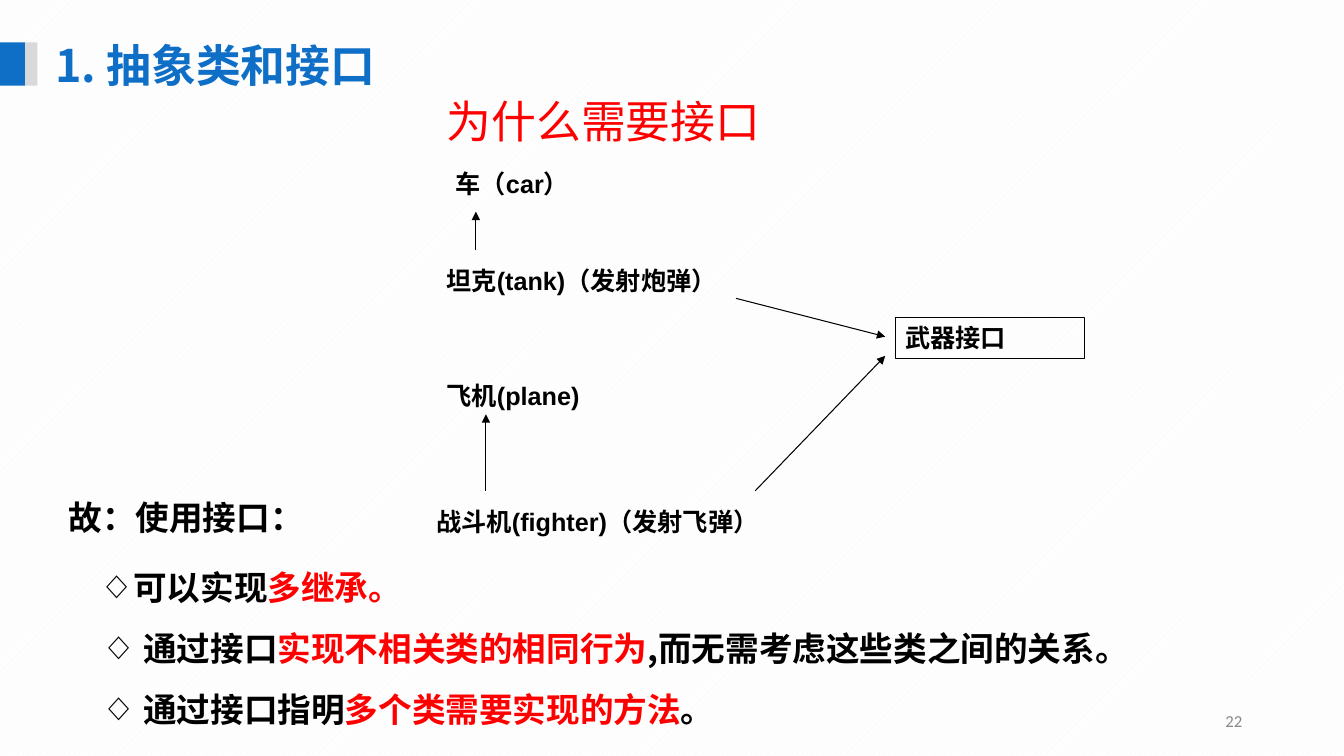
"""Build the slide on why interfaces are needed."""
import pptx
import pptx.dml.color
import pptx.enum.dml
import pptx.enum.shapes
import pptx.enum.text
import pptx.oxml
import pptx.oxml.ns
import pptx.util
from pptx.util import Inches

COLORS = {
    "blue": "0F6FC6", "grey": "D9D9D9", "number": "898989", "red": "FF0000",
    "black": "000000", "paper": "FEFEFE", "stripe": "F8F9FA",
}
CJK = "Noto Sans CJK SC"


def rgb(color):
    return pptx.dml.color.RGBColor.from_string(COLORS[color])


def write(paragraph, text, size=18, font="Arial", color="black", bold=True):
    run = paragraph.add_run()
    run.text = text
    run.font.size = pptx.util.Pt(size)
    run.font.name = font
    run.font.bold = bold
    run.font.color.rgb = rgb(color)
    east_asian = pptx.oxml.parse_xml(f'<a:ea {pptx.oxml.ns.nsdecls("a")} typeface="{CJK}"/>')
    run.font._element.find(pptx.oxml.ns.qn("a:latin")).addnext(east_asian)


deck = pptx.Presentation()
deck.slide_width, deck.slide_height = Inches(13.33), Inches(7.5)
slide = deck.slides.add_slide(deck.slide_layouts[1])
shapes = slide.shapes

backdrop = slide.background.fill
backdrop.patterned()
backdrop.pattern = pptx.enum.dml.MSO_PATTERN.WIDE_UPWARD_DIAGONAL
backdrop.fore_color.rgb = rgb("stripe")
backdrop.back_color.rgb = rgb("paper")

for left, width, color in [(0, 0.25, "blue"), (0.25, 0.12, "grey")]:
    marker = shapes.add_shape(pptx.enum.shapes.MSO_SHAPE.RECTANGLE,
                              Inches(left), Inches(0.42), Inches(width), Inches(0.43))
    marker.shadow.inherit = False
    marker.fill.solid()
    marker.fill.fore_color.rgb = rgb(color)
    marker.line.fill.background()

question = shapes.title
question.left, question.top = Inches(4.33), Inches(0.51)
question.width, question.height = Inches(9), Inches(1.45)
question.text_frame.auto_size = pptx.enum.text.MSO_AUTO_SIZE.NONE
question.text_frame.vertical_anchor = pptx.enum.text.MSO_ANCHOR.MIDDLE
question_line = question.text_frame.paragraphs[0]
question_line.alignment = pptx.enum.text.PP_ALIGN.LEFT
question_line.line_spacing = 0.9
write(question_line, "为什么需要接口", size=32, font="Calibri", color="red", bold=False)

labels = [
    ("1. 抽象类和接口", 0.45, 0.33, 7.82, 0.64, {"size": 32, "font": CJK, "color": "blue"}),
    ("车（car）", 4.42, 1.62, 1.68, 0.4, {}),
    ("坦克(tank)（发射炮弹）", 4.33, 2.58, 3.76, 0.4, {}),
    ("飞机(plane)", 4.33, 3.72, 2.28, 0.4, {}),
    ("战斗机(fighter)（发射飞弹）", 4.23, 4.97, 4.56, 0.4, {}),
    ("武器接口", 8.88, 3.15, 1.88, 0.41, {}),
    ("22", 9.42, 6.95, 3, 0.4,
     {"size": 12, "font": "Calibri", "color": "number", "bold": False}),
]
for text, left, top, width, height, style in labels:
    label = shapes.add_textbox(Inches(left), Inches(top), Inches(width), Inches(height))
    label.text_frame.word_wrap = True
    write(label.text_frame.paragraphs[0], text, **style)
    if text == "武器接口":
        label.line.color.rgb = rgb("black")
        label.line.width = pptx.util.Pt(0.75)
    if text == "22":
        label.text_frame.vertical_anchor = pptx.enum.text.MSO_ANCHOR.MIDDLE
        label.text_frame.paragraphs[0].alignment = pptx.enum.text.PP_ALIGN.RIGHT

arrows = [
    (4.72, 2.48, 4.72, 2.1),
    (4.82, 4.87, 4.82, 4.11),
    (7.3, 2.96, 8.78, 3.34),
    (7.49, 4.87, 8.78, 3.53),
]
for ends in arrows:
    arrow = shapes.add_connector(pptx.enum.shapes.MSO_CONNECTOR.STRAIGHT,
                                 *[Inches(end) for end in ends])
    arrow.line.color.rgb = rgb("black")
    arrow.line.width = pptx.util.Pt(0.75)
    namespace = pptx.oxml.ns.nsdecls("a")
    arrow.line._get_or_add_ln().append(
        pptx.oxml.parse_xml(f'<a:tailEnd {namespace} type="triangle"/>'))
    arrow._element.spPr.append(pptx.oxml.parse_xml(f"<a:effectLst {namespace}/>"))

reasons = shapes.placeholders[1]
reasons.left, reasons.top = Inches(0.58), Inches(4.68)
reasons.width, reasons.height = Inches(11.25), Inches(2.67)
reasons.text_frame.auto_size = pptx.enum.text.MSO_AUTO_SIZE.NONE
reason_lines = [
    (0, 0, 0, [("故：使用接口：", "black")]),
    (6, 0.64, 0.33, [("可以实现", "black"), ("多继承。", "red")]),
    (0, 0.74, 0.41, [("通过接口", "black"), ("实现不相关类的相同行为", "red"),
                     (",而无需考虑这些类之间的关系。", "black")]),
    (0, 0.74, 0.41, [("通过接口指明", "black"), ("多个类需要实现的方法", "red"), ("。", "black")]),
]
for index, (space, margin, hanging, parts) in enumerate(reason_lines):
    frame = reasons.text_frame
    reason = frame.add_paragraph() if index else frame.paragraphs[0]
    reason.line_spacing = pptx.util.Pt(43.5)
    reason.space_before = pptx.util.Pt(space)
    properties = reason._p.get_or_add_pPr()
    properties.set("marL", str(Inches(margin)))
    properties.set("indent", str(-Inches(hanging)))
    bullet = 'buChar {} char="◇"' if hanging else "buNone {}"
    properties.append(pptx.oxml.parse_xml(f'<a:{bullet.format(pptx.oxml.ns.nsdecls("a"))}/>'))
    for text, color in parts:
        write(reason, text, size=24, font=CJK, color=color)

deck.save("out.pptx")
